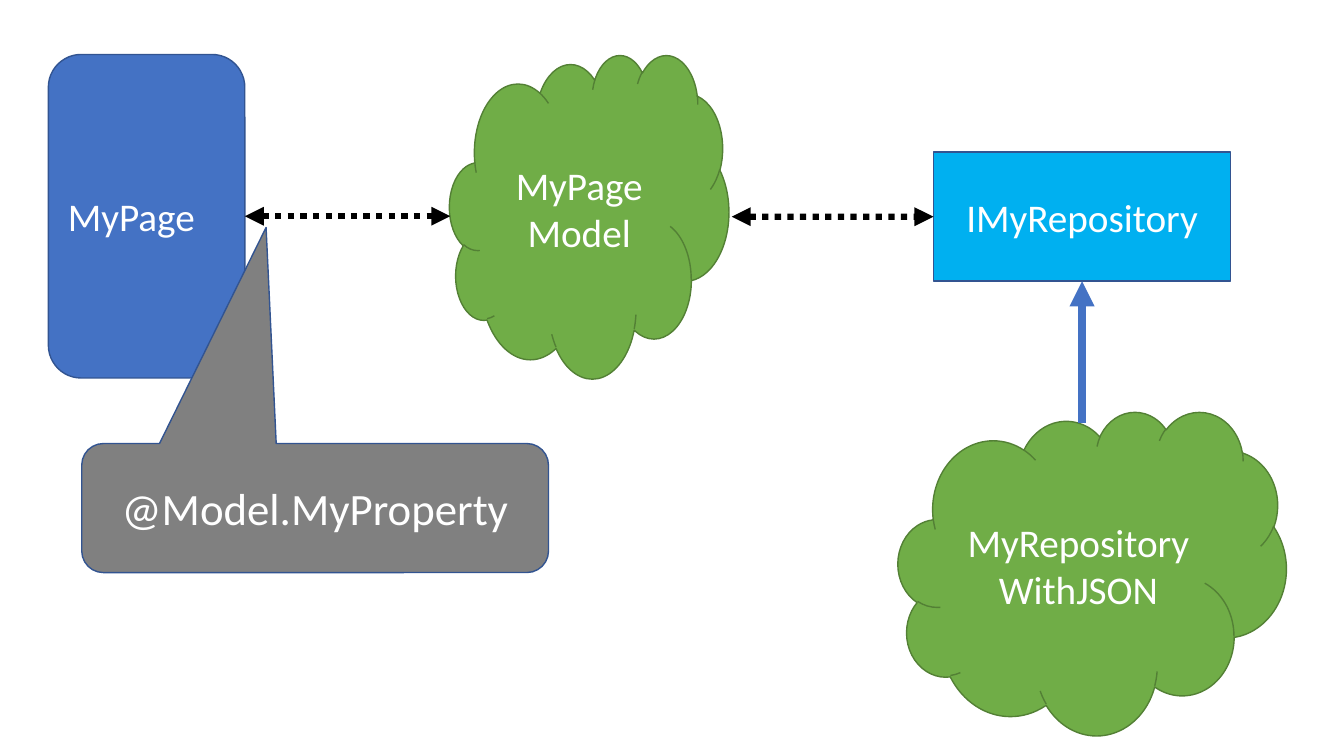
import pptx
import pptx.util
import pptx.dml.color
import pptx.enum.dml
import pptx.enum.shapes
import pptx.enum.text
import pptx.oxml
import pptx.oxml.ns

HUES = {
    "blue": "4472C4", "navy": "325491", "green": "70AD47", "moss": "538035",
    "sky": "00B0F0", "gray": "808080", "black": "000000", "white": "FFFFFF",
}
FORMS = pptx.enum.shapes.MSO_SHAPE
ALIGN = pptx.enum.text.PP_ALIGN
DASH = pptx.enum.dml.MSO_LINE


class Board:
    """Draws on one slide; lengths are percent of the slide's width and height."""

    def __init__(self, deck):
        self.wide, self.high = deck.slide_width, deck.slide_height
        self.slide = deck.slides.add_slide(deck.slide_layouts[6])
        self.font = "Calibri"

    def hue(self, name):
        return pptx.dml.color.RGBColor.from_string(HUES[name])

    def spot(self, x, y):
        return round(self.wide * x / 100), round(self.high * y / 100)

    def box(self, form, place, fill, edge, lines, size=28, align=ALIGN.CENTER, adjust=()):
        x, y, w, h = place
        shape = self.slide.shapes.add_shape(form, *self.spot(x, y), *self.spot(w, h))
        shape.shadow.inherit = False
        for i, value in enumerate(adjust):
            shape.adjustments[i] = value
        shape.fill.solid()
        shape.fill.fore_color.rgb = self.hue(fill)
        shape.line.color.rgb = self.hue(edge)
        shape.line.width = pptx.util.Pt(1)
        frame = shape.text_frame
        frame.word_wrap = True
        frame.vertical_anchor = pptx.enum.text.MSO_ANCHOR.MIDDLE
        for i, line in enumerate(lines):
            para = frame.add_paragraph() if i else frame.paragraphs[0]
            para.alignment = align
            run = para.add_run()
            run.text = line
            run.font.name = self.font
            run.font.size = pptx.util.Pt(size)
            run.font.color.rgb = self.hue("white")
        return shape

    def arrow(self, start, end, color, width, ends, dash=None, begin=None, stop=None):
        """Join start to end; begin and stop are (shape, side) to attach to."""
        line = self.slide.shapes.add_connector(
            pptx.enum.shapes.MSO_CONNECTOR.STRAIGHT, *self.spot(*start), *self.spot(*end))
        if begin:
            line.begin_connect(*begin)
        if stop:
            line.end_connect(*stop)
        line.line.color.rgb = self.hue(color)
        line.line.width = pptx.util.Pt(width)
        if dash:
            line.line.dash_style = dash
        # Arrowheads and no shadow
        pen = line.line._get_or_add_ln()
        for tag in ends:
            tip = pptx.oxml.parse_xml(f'<a:{tag} {pptx.oxml.ns.nsdecls("a")} type="triangle"/>')
            pen.append(tip)
        line._element.spPr.append(
            pptx.oxml.parse_xml(f'<a:effectLst {pptx.oxml.ns.nsdecls("a")}/>'))


def main():
    deck = pptx.Presentation()
    deck.slide_width = pptx.util.Inches(13.33)
    deck.slide_height = pptx.util.Inches(7.5)
    board = Board(deck)

    # Page, model and repository
    page = board.box(FORMS.ROUNDED_RECTANGLE, (3.6, 7.2, 14.62, 42.8),
                     "blue", "navy", ["MyPage"], align=ALIGN.LEFT)
    board.box(FORMS.CLOUD, (33.45, 7.2, 20.78, 42.8), "green", "moss", ["MyPage", "Model"])
    repo = board.box(FORMS.RECTANGLE, (69.45, 20.13, 22.12, 17.07),
                     "sky", "navy", ["IMyRepository"])
    board.box(FORMS.CLOUD, (66.83, 54.4, 28.88, 42.8), "green", "moss",
              ["MyRepositoryWithJSON"])

    # Links between them
    both = ("headEnd", "tailEnd")
    board.arrow((80.51, 56), (80.51, 37.2), "blue", 6, ("tailEnd",), stop=(repo, 2))
    board.arrow((18.22, 28.6), (33.5, 28.6), "black", 4.5, both, DASH.ROUND_DOT,
                begin=(page, 3))
    board.arrow((54.45, 28.67), (69.45, 28.67), "black", 4.5, both, DASH.ROUND_DOT,
                stop=(repo, 1))

    # Callout on the page's binding
    board.box(FORMS.ROUNDED_RECTANGULAR_CALLOUT, (6.08, 58.67, 34.73, 17.07),
              "gray", "navy", ["@Model.MyProperty"], size=32, adjust=(-0.105, -2.174, 0.167))

    deck.save("out.pptx")


if __name__ == "__main__":
    main()
